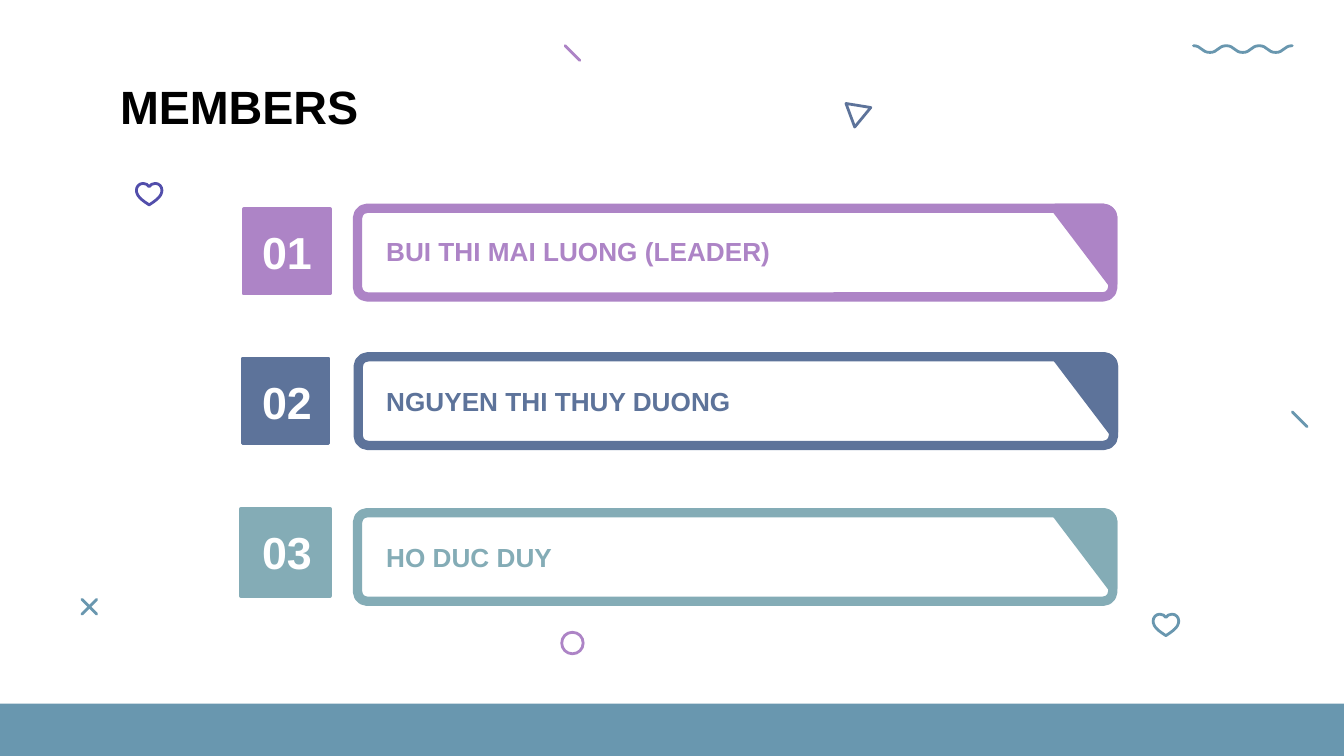
import pptx
import pptx.util
import pptx.dml.color
import pptx.enum.shapes
import pptx.enum.text
import lxml.etree

COLS, ROWS = 1000, 562.5  # grid cells of 0.01 inch

HEX = {
    "white": "FFFFFF", "black": "000000", "violet": "AD84C6", "navy": "5D739A",
    "sage": "84ACB6", "teal": "6997AF", "indigo": "524EAB",
}

TITLE = ("MEMBERS", (79.5, 47.5, 446, 63))

# number, name, colour, card place, square place, number box, name top
MEMBERS = [
    ("01", "BUI THI MAI LUONG (LEADER)", "violet", (266, 155), (181.5, 155.5, 64, 63), (162, 50), 170),
    ("02", "NGUYEN THI THUY DUONG", "navy", (266.5, 265.5), (180.5, 267, 64, 63), (273, 51), 281.5),
    ("03", "HO DUC DUY", "sage", (266, 381.5), (179.5, 378.5, 66, 65), (384.5, 52), 397.5),
]

STROKES = [
    ((961.5, 306.5), (972.5, 317.5), "teal"),
    ((61, 446), (72, 457), "teal"),
    ((72, 446), (61, 457), "teal"),
    ((420.5, 34), (431.5, 45), "violet"),
]

# Outlines: start point, then points (2 values) or cubic curves (6 values)
HEART = [
    (9.5, 16), (6.5, 14), (0, 9.5, 0, 6.5, 0, 5), (0, 2.5, 2, 0, 5, 0),
    (7, 0, 8.5, 1, 9.5, 2.5), (10.5, 1, 12, 0, 14, 0),
    (17, 0, 19, 2.5, 19, 5), (19, 6.5, 19, 9.5, 12.5, 14),
]
RING = [
    (0, 8), (0, 12.5, 3.5, 16, 8, 16), (12.5, 16, 16, 12.5, 16, 8),
    (16, 3.5, 12.5, 0, 8, 0), (3.5, 0, 0, 3.5, 0, 8),
]
KITE = [(0, 0), (18.5, 3), (6.5, 17.5), (0, 0)]
WEDGE = [(0, 0), (35, 0), (39, 0, 42.5, 3, 42.5, 7), (42.5, 56)]
WAVE = [(0, 0)]
for n in range(6):
    x, y, z = 12.25 * n, 5 * (n % 2), 5 * ((n + 1) % 2)
    WAVE.append((x + 6, y, x + 6, z, x + 12.25, z))

# outline, place, colour, closed
MARKS = [
    (RING, (418, 470.5), "violet", True),
    (WAVE, (888, 34), "teal", False),
    (KITE, (629.5, 77), "navy", True),
    (HEART, (858, 457), "teal", True),
    (HEART, (101.5, 136.5), "indigo", True),
]

deck = pptx.Presentation()
deck.slide_width = pptx.util.Inches(COLS / 100)
deck.slide_height = pptx.util.Inches(ROWS / 100)
slide = deck.slides.add_slide(deck.slide_layouts[6])
shapes = slide.shapes
KIND = pptx.enum.shapes.MSO_SHAPE
ALIGN = pptx.enum.text.PP_ALIGN
tag = pptx.oxml.ns.qn


def grid(n):
    return pptx.util.Inches(n / 100)


def rgb(name):
    return pptx.dml.color.RGBColor.from_string(HEX[name])


def pen(shape, tint, width):
    """Draw the outline with round ends and joins."""
    shape.line.color.rgb = rgb(tint)
    shape.line.width = pptx.util.Pt(width)
    line = shape.element.spPr.get_or_add_ln()
    line.set("cap", "rnd")
    lxml.etree.SubElement(line, tag("a:round"))


def paint(shape, fill=None, tint=None, width=1.5):
    shape.shadow.inherit = False
    if fill:
        shape.fill.solid()
        shape.fill.fore_color.rgb = rgb(fill)
    else:
        shape.fill.background()
    if tint:
        pen(shape, tint, width)
    else:
        shape.line.fill.background()
    return shape


def block(kind, box, **style):
    return paint(shapes.add_shape(kind, *map(grid, box)), **style)


def trace(place, steps, closed=True, **style):
    """Build an outline, then bend the segments that are cubic curves."""
    left, top = place
    ends = [(grid(left + s[-2]), grid(top + s[-1])) for s in steps]
    form = shapes.build_freeform(*ends[0])
    form.add_line_segments(ends[1:], close=closed)
    shape = form.convert_to_shape()
    lines = list(shape.element.iter(tag("a:lnTo")))
    for line, step in zip(lines, steps[1:]):
        if len(step) == 6:
            curve = lxml.etree.Element(tag("a:cubicBezTo"))
            for a, b in zip(step[::2], step[1::2]):
                lxml.etree.SubElement(curve, tag("a:pt"), x=str(grid(a)), y=str(grid(b)))
            line.getparent().replace(line, curve)
    return paint(shape, **style)


def stroke(start, end, tint):
    link = shapes.add_connector(
        pptx.enum.shapes.MSO_CONNECTOR.STRAIGHT, *map(grid, start + end))
    pen(link, tint, 1.5)
    lxml.etree.SubElement(link.element.spPr, tag("a:effectLst"))


def write(text, box=None, shape=None, size=14, tint="black", align=ALIGN.LEFT, inset=None):
    shape = shape or shapes.add_textbox(*map(grid, box))
    frame = shape.text_frame
    frame.word_wrap = True
    frame.vertical_anchor = pptx.enum.text.MSO_ANCHOR.MIDDLE
    if inset:
        frame.margin_left = frame.margin_right = grid(inset)
        frame.margin_top = frame.margin_bottom = grid(inset)
    para = frame.paragraphs[0]
    para.alignment = align
    run = para.add_run()
    run.text = text
    run.font.name, run.font.size, run.font.bold = "Arial", pptx.util.Pt(size), True
    run.font.color.rgb = rgb(tint)


block(KIND.RECTANGLE, (0, 523.5, COLS, ROWS - 523.5), fill="teal")
for mark in STROKES:
    stroke(*mark)
for steps, place, tint, closed in MARKS:
    trace(place, steps, closed=closed, tint=tint)

write(TITLE[0], TITLE[1], size=25, inset=10)

for number, name, tint, (left, top), square, (row, tall), line in MEMBERS:
    card = block(KIND.ROUNDED_RECTANGLE, (left, top, 562, 66), fill="white", tint=tint, width=5)
    card.adjustments[0] = 0.11
    trace((left + 519.5, top), WEDGE, fill=tint, tint=tint, width=5)
    block(KIND.RECTANGLE, square, fill=tint, tint=tint, width=2)
    badge = block(KIND.RECTANGLE, (182.5, row, 62, tall), fill=tint, tint=tint, width=0.75)
    write(number, shape=badge, size=24, tint="white", align=ALIGN.CENTER)
    write(name, (277.5, line, 520, 34), tint=tint)

deck.save("out.pptx")
